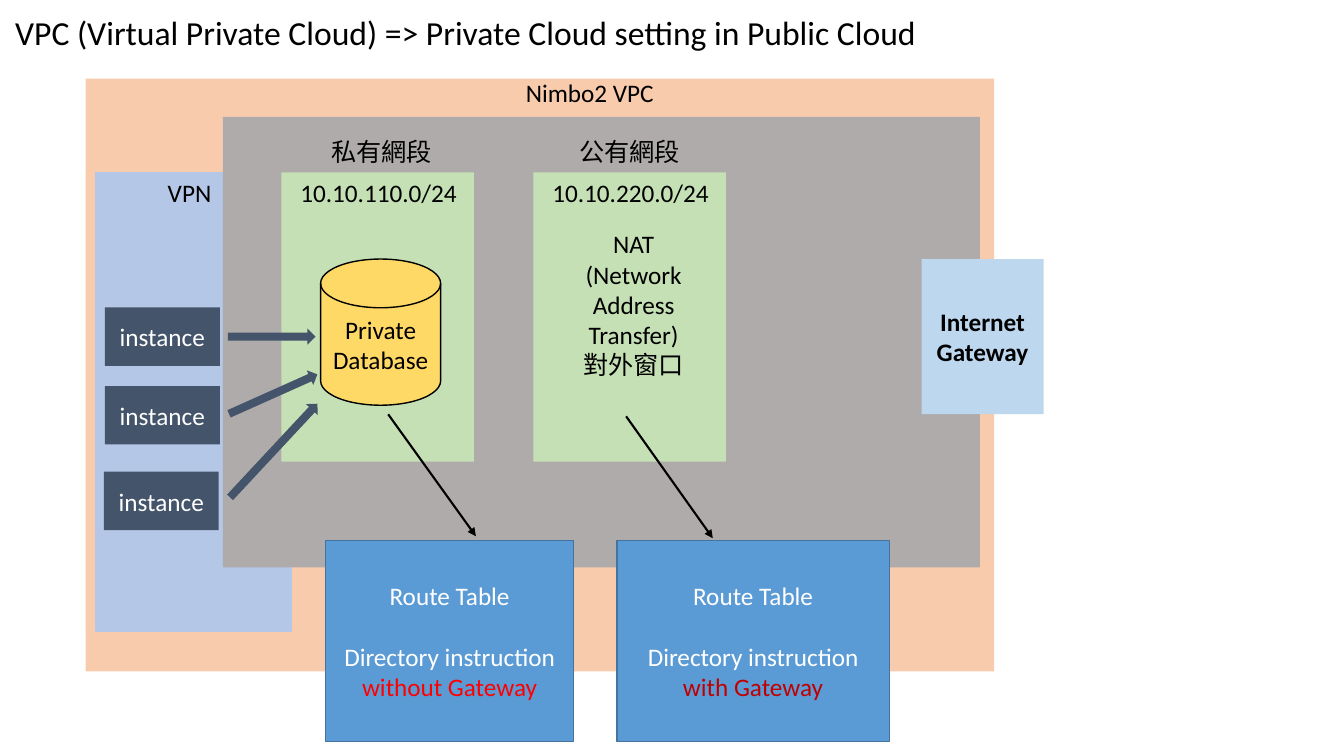
from lxml.etree import SubElement
from pptx import Presentation
from pptx.dml.color import RGBColor
from pptx.enum.shapes import MSO_CONNECTOR, MSO_SHAPE as Shape
from pptx.enum.text import MSO_ANCHOR as Anchor, MSO_AUTO_SIZE as AutoSize, PP_ALIGN as Align
from pptx.oxml.ns import qn
from pptx.util import Inches, Pt

BLACK, WHITE, SLATE = "000000", "FFFFFF", "44546A"


def paint(target, color):
    """Give a fill, a line or a font one solid colour."""
    if hasattr(target, "solid"):
        target.solid()
        target = target.fore_color
    else:
        target = target.color
    target.rgb = RGBColor.from_string(color)


def write(frame, lines, color=BLACK, size=18, bold=False, align=Align.CENTER):
    """Write one paragraph per line; each line is a list of (text, colour) or a string."""
    for index, line in enumerate(lines):
        para = frame.paragraphs[0] if index == 0 else frame.add_paragraph()
        para.alignment = align
        for text, shade in [(line, color)] if isinstance(line, str) else line:
            span = para.add_run()
            span.text = text
            name = "Calibri" if text.isascii() else "Noto Sans CJK SC"
            for key, value in {"name": name, "size": Pt(size), "bold": bold}.items():
                setattr(span.font, key, value)
            paint(span.font, shade)
            SubElement(span.font._element, qn("a:ea"), typeface=name)


deck = Presentation()
deck.slide_width, deck.slide_height = Inches(13.33), Inches(7.5)
page = deck.slides.add_slide(deck.slide_layouts[5])

# Title
title = page.shapes.title
title_place = {"left": 0.05, "top": 0.07, "width": 9.15, "height": 0.5}
for key, value in title_place.items():
    setattr(title, key, Inches(value))
title_format = {"word_wrap": False, "auto_size": AutoSize.NONE, "vertical_anchor": Anchor.TOP}
for key, value in title_format.items():
    setattr(title.text_frame, key, value)
write(title.text_frame,
      ["VPC (Virtual Private Cloud) => Private Cloud setting in Public Cloud"],
      size=24, align=Align.LEFT)

# Blocks, back to front: kind, place, fill, outline, lines, text colour, bold
blocks = [
    (Shape.RECTANGLE, (0.85, 0.78, 9.01, 5.88), "F8CBAD", None, [], BLACK, False),
    (Shape.RECTANGLE, (0.95, 1.71, 1.94, 4.55), "B4C7E7", "B4C7E7", [], BLACK, False),
    (Shape.RECTANGLE, (2.21, 1.16, 7.51, 4.47), "AFABAB", None, [], BLACK, False),
]
for left in (2.79, 5.29):
    blocks.append((Shape.RECTANGLE, (left, 1.71, 1.91, 2.87), "C5E0B4", None, [], BLACK, False))
blocks.append((Shape.RECTANGLE, (9.14, 2.57, 1.21, 1.54), "BDD7EE", None,
               ["Internet", "Gateway"], BLACK, True))
for left, width, ending, shade in ((6.12, 2.7, "with Gateway", "C00000"),
                                   (3.23, 2.46, "without Gateway", "FF0000")):
    instruction = [("Directory instruction ", WHITE), (ending, shade)]
    blocks.append((Shape.RECTANGLE, (left, 5.36, width, 2), "5B9BD5", "43739E",
                   ["Route Table", instruction], WHITE, False))
blocks.append((Shape.FLOWCHART_MAGNETIC_DISK, (3.18, 2.57, 1.19, 1.45), "FFD966", BLACK,
               ["Private", "Database"], BLACK, False))
for left, top in ((1.04, 3.05), (1.04, 3.83), (1.03, 4.68)):
    blocks.append((Shape.RECTANGLE, (left, top, 1.14, 0.58), SLATE, None,
                   ["instance"], WHITE, False))

for kind, place, fill, outline, lines, color, bold in blocks:
    box = page.shapes.add_shape(kind, *map(Inches, place))
    box.shadow.inherit = False
    paint(box.fill, fill)
    if outline:
        paint(box.line, outline)
        box.line.width = Pt(1)
    else:
        box.line.fill.background()
    box.text_frame.vertical_anchor = Anchor.MIDDLE
    write(box.text_frame, lines, color, bold=bold)
    if "Route Table" in lines:
        box.text_frame.paragraphs[1].space_before = Pt(22)

# Block arrows from the instances to the database
for left, top, width, angle in ((2.26, 3.26, 0.87, 0), (2.23, 3.83, 0.96, 335.9),
                                (2.08, 4.39, 1.27, 313)):
    arrow = page.shapes.add_shape(Shape.RIGHT_ARROW, *map(Inches, (left, top, width, 0.16)))
    arrow.shadow.inherit = False
    arrow.rotation = angle
    paint(arrow.fill, SLATE)
    arrow.line.fill.background()

# Thin arrows to the route tables
for ends in ((6.21, 4.13, 7.07, 5.34), (3.85, 4.11, 4.72, 5.32)):
    link = page.shapes.add_connector(MSO_CONNECTOR.STRAIGHT, *map(Inches, ends))
    paint(link.line, BLACK)
    link.line.width = Pt(1.5)
    SubElement(link.line._get_or_add_ln(), qn("a:tailEnd"), type="triangle")
    SubElement(link._element.spPr, qn("a:effectLst"))

# Labels
labels = [
    ((2.87, 1.71, 1.77, 0.4), ["10.10.110.0/24"]),
    ((5.37, 1.71, 1.77, 0.4), ["10.10.220.0/24"]),
    ((3.18, 1.3, 1.21, 0.4), ["私有網段"]),
    ((5.64, 1.3, 1.21, 0.4), ["公有網段"]),
    ((5.68, 2.22, 1.21, 1.62), ["NAT", "(Network", "Address", "Transfer)", "對外窗口"]),
    ((1.56, 1.71, 0.64, 0.4), ["VPN"]),
    ((5.06, 0.72, 1.58, 0.4), ["Nimbo2 VPC"]),
]
for place, lines in labels:
    label = page.shapes.add_textbox(*map(Inches, place))
    label.text_frame.word_wrap = False
    write(label.text_frame, lines)

deck.save("out.pptx")
